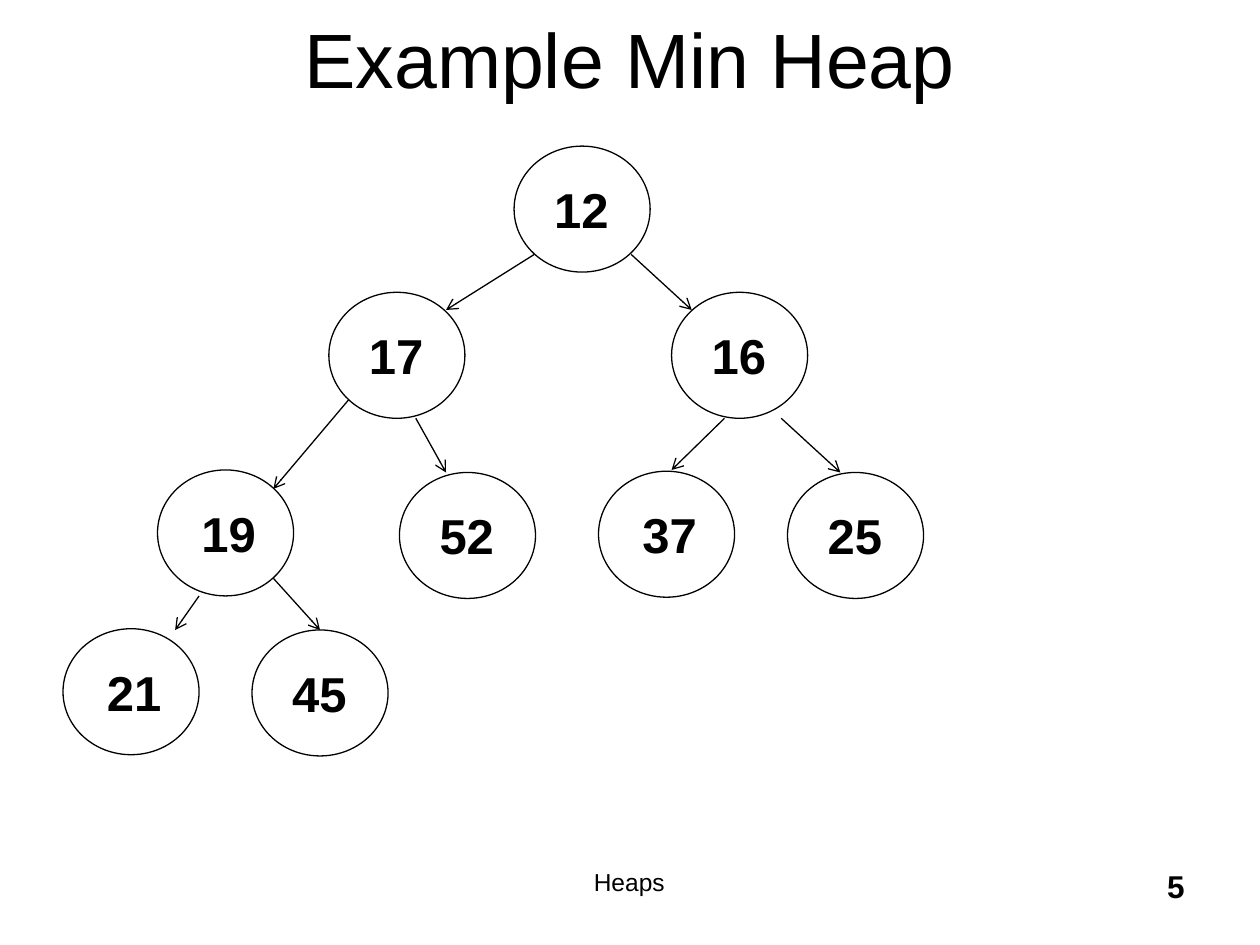
from lxml import etree
from pptx import Presentation
from pptx.dml.color import RGBColor
from pptx.enum.shapes import MSO_CONNECTOR, MSO_SHAPE
from pptx.enum.text import MSO_ANCHOR, PP_ALIGN
from pptx.oxml.ns import qn
from pptx.util import Inches, Pt

BLACK = RGBColor(0, 0, 0)
FONT = "Arial"
STRAIGHT = MSO_CONNECTOR.STRAIGHT
OVAL = MSO_SHAPE.OVAL
TOP, MIDDLE = MSO_ANCHOR.TOP, MSO_ANCHOR.MIDDLE
LEFT, CENTER, RIGHT = PP_ALIGN.LEFT, PP_ALIGN.CENTER, PP_ALIGN.RIGHT

NODE_W, NODE_H = 1.08, 1
LABEL_W, LABEL_H = 0.64, 0.57
CENTERED, SHIFTED = 0.22, 0.25
TOP_SITE = 0

NODES = [
    ("12", 4.08, 1.16, CENTERED),
    ("17", 2.61, 2.32, CENTERED),
    ("16", 5.33, 2.32, CENTERED),
    ("19", 1.25, 3.73, SHIFTED),
    ("52", 3.17, 3.75, CENTERED),
    ("37", 4.75, 3.74, SHIFTED),
    ("25", 6.25, 3.75, CENTERED),
    ("21", 0.5, 4.99, SHIFTED),
    ("45", 2, 5, CENTERED),
]

EDGES = [
    ((4.24, 2.02), (3.54, 2.46)),
    ((5.01, 2.02), (5.49, 2.46)),
    ((2.77, 3.17), (2.17, 3.88)),
    ((3.3, 3.32), (3.54, 3.75)),
    ((5.75, 3.32), (5.33, 3.73)),
    ((6.2, 3.32), (6.67, 3.75)),
    ((1.58, 4.73), (1.39, 5)),
    ((2.17, 4.59), (2.54, 5)),
]


def add_text(s, text, x, y, w, h, size, align, bold=False, anchor=TOP, wrap=True):
    tf = s.shapes.add_textbox(Inches(x), Inches(y), Inches(w), Inches(h)).text_frame
    tf.word_wrap = wrap
    tf.vertical_anchor = anchor
    tf.text = text
    p = tf.paragraphs[0]
    p.alignment = align
    font = p.runs[0].font
    font.name, font.size, font.bold = FONT, Pt(size), bold
    font.color.rgb = BLACK
    return p


def add_node(s, text, x, y, label_dx):
    sp = s.shapes.add_shape(OVAL, Inches(x), Inches(y), Inches(NODE_W), Inches(NODE_H))
    sp.shadow.inherit = False
    sp.fill.background()
    sp.line.color.rgb = BLACK
    sp.line.width = Pt(0.75)
    label_y = y + (NODE_H - LABEL_H) / 2
    p = add_text(s, text, x + label_dx, label_y, LABEL_W, LABEL_H, 28, LEFT,
                 bold=True, wrap=False)
    p.space_before = Pt(2.5)
    return sp


def add_arrow(s, start, end):
    line = s.shapes.add_connector(STRAIGHT, *map(Inches, start + end))
    line.line.color.rgb = BLACK
    line.line.width = Pt(0.75)
    ln = line.line._get_or_add_ln()
    etree.SubElement(ln, qn("a:tailEnd"), type="arrow")
    etree.SubElement(ln.getparent(), qn("a:effectLst"))
    return line


def main():
    prs = Presentation()
    prs.slide_width, prs.slide_height = Inches(10), Inches(7.5)
    s = prs.slides.add_slide(prs.slide_layouts[6])
    add_text(s, "Example Min Heap", 0.75, -0.17, 8.5, 1.25, 44, CENTER, anchor=MIDDLE)
    add_text(s, "Heaps", 3.08, 6.83, 3.83, 0.5, 14, CENTER)
    add_text(s, "5", 7.42, 6.83, 2.08, 0.5, 18, RIGHT, bold=True)
    nodes = {node[0]: add_node(s, *node) for node in NODES}
    arrows = [add_arrow(s, start, end) for start, end in EDGES]
    arrows[-1].end_connect(nodes["45"], TOP_SITE)
    prs.save("out.pptx")


if __name__ == "__main__":
    main()
